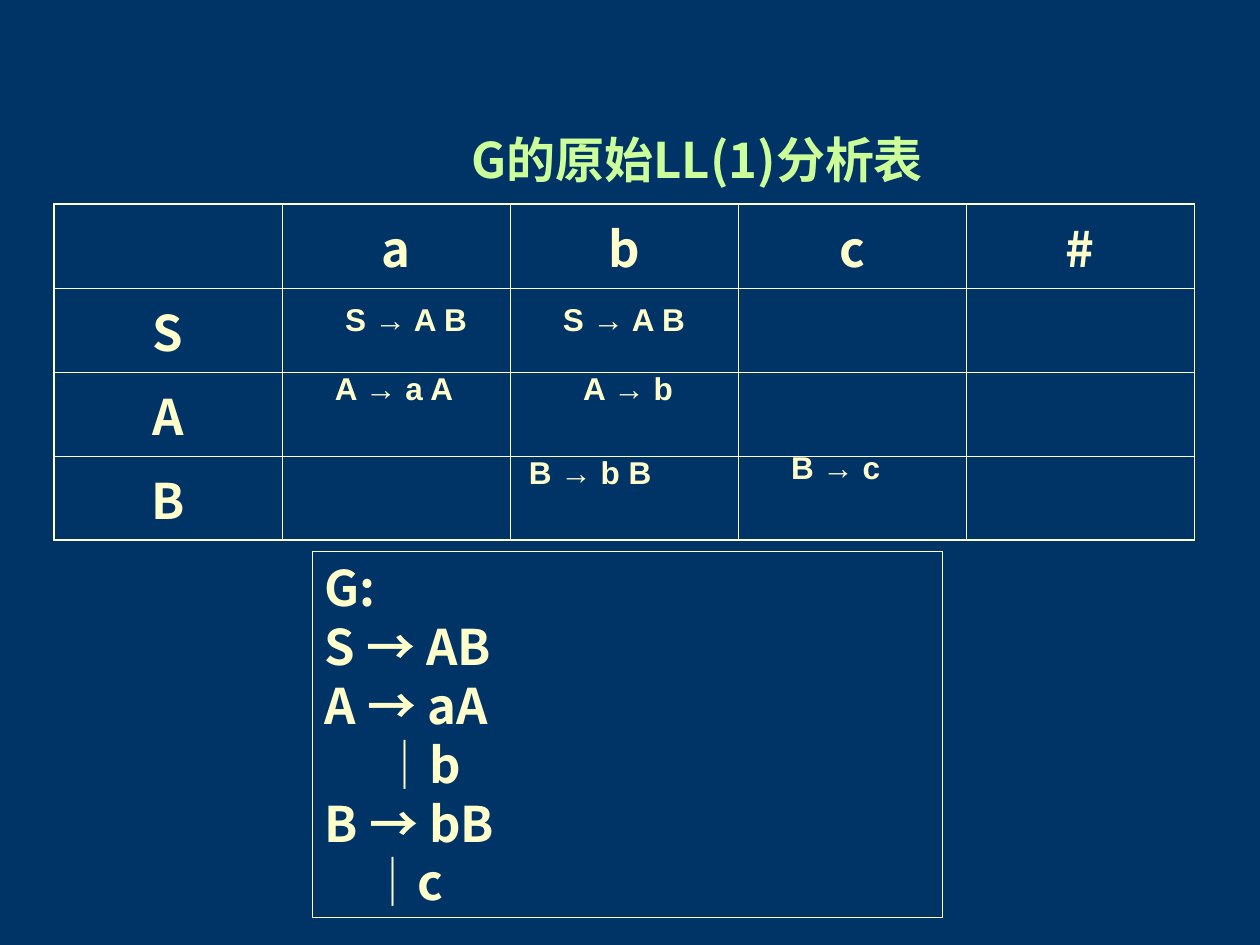
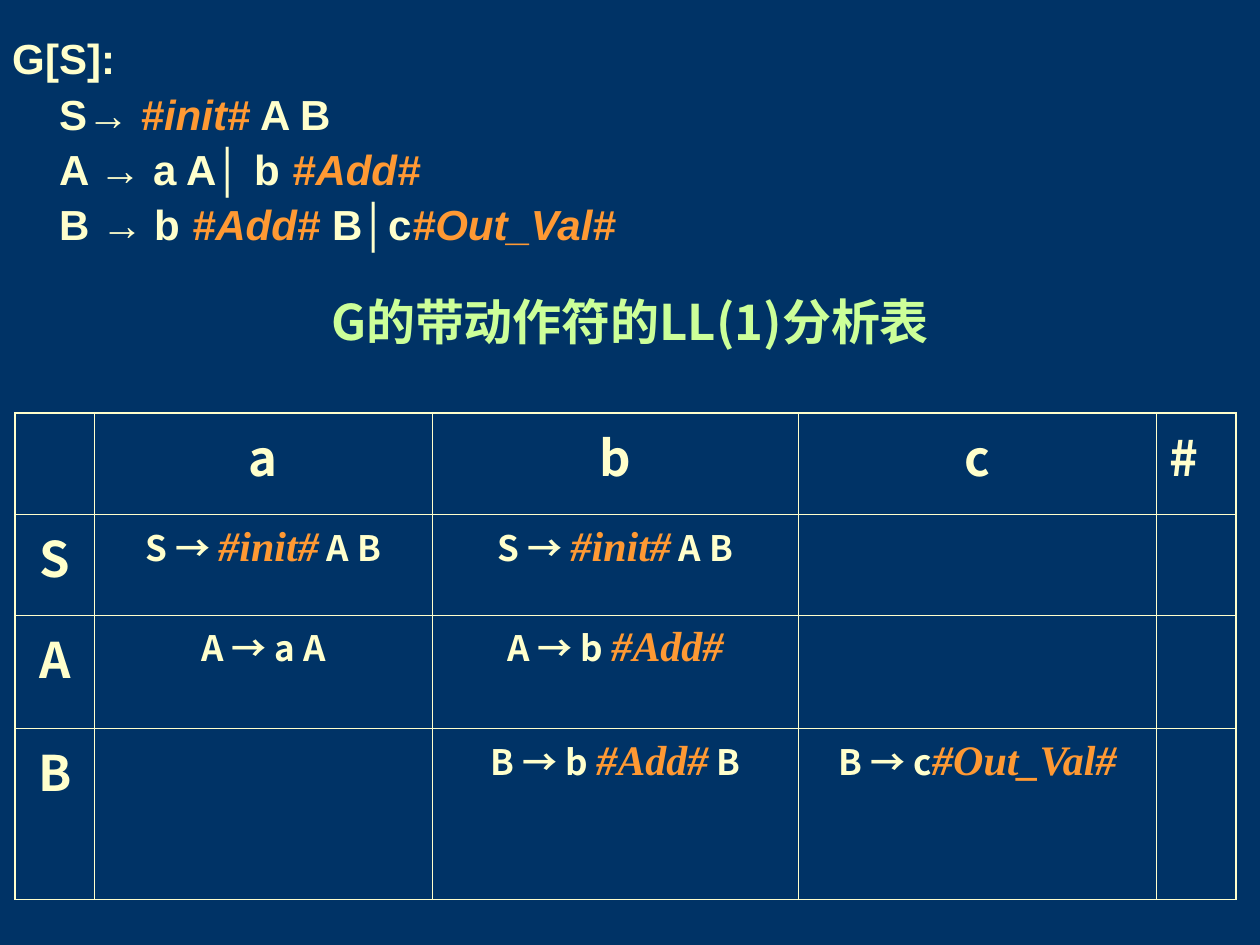
"""Build two slides with the LL(1) parsing tables of grammar G."""
from enum import Enum

from lxml.etree import SubElement
from pptx import Presentation
from pptx.dml.color import RGBColor as RGB
from pptx.enum.shapes import MSO_SHAPE as Shape
from pptx.enum.text import MSO_ANCHOR as Anchor, PP_ALIGN as Align
from pptx.oxml import parse_xml
from pptx.oxml.ns import nsdecls, qn
from pptx.util import Inches, Pt


class Theme(Enum):
    BACKGROUND = RGB.from_string("003366")
    TEXT = RGB.from_string("FFFFCC")
    TITLE = RGB.from_string("CCFF99")
    ACTION = RGB.from_string("FF9933")
    SANS = "Noto Sans CJK SC"
    ARIAL = "Arial"
    SERIF = "Times New Roman"
    HEADING_SIZE = 28
    GRAMMAR_SIZE = 24
    RULE_SIZE = 20
    ENTRY_SIZE = 18
    OUTER_LINE = 1.08
    INNER_LINE = 0.45


def write(frame, lines, size, font, color=Theme.TEXT, align=Align.LEFT,
          spacing=None, action_font=None):
    frame.word_wrap = True
    frame.text = "\n".join(lines)
    for paragraph, line in zip(frame.paragraphs, lines):
        paragraph.alignment = align
        paragraph.line_spacing = spacing
        parts = line.split("#") if line.count("#") > 1 else [line]
        paragraph.text = ""
        for index, part in enumerate(parts):
            if not part:
                continue
            is_action = index % 2 == 1
            run = paragraph.add_run()
            run.text = f"#{part}#" if is_action else part
            face = (action_font or font) if is_action else font
            run.font.name = face.value
            run.font.size = Pt(Theme.GRAMMAR_SIZE.value if is_action else size.value)
            run.font.bold = True
            run.font.italic = is_action
            run.font.color.rgb = (Theme.ACTION if is_action else color).value
            SubElement(run.font._element, qn("a:ea"), typeface=face.value)


def add_parsing_table(slide, left, top, widths, heights, rows):
    frame = slide.shapes.add_table(len(rows), len(widths), Inches(left), Inches(top),
                                   Inches(sum(widths)), Inches(sum(heights)))
    table = frame.table
    table.first_row = table.horz_banding = False
    for column, width in zip(table.columns, widths):
        column.width = Inches(width)
    for row, height in zip(table.rows, heights):
        row.height = Inches(height)
    last_row, last_column = len(rows) - 1, len(widths) - 1
    for r, row in enumerate(rows):
        for c, text in enumerate(row):
            cell = table.cell(r, c)
            cell.fill.background()
            is_heading = r == 0 or c == 0
            cell.margin_top = Inches(0.15 if is_heading else 0.12)
            if text:
                size = Theme.HEADING_SIZE if is_heading else Theme.RULE_SIZE
                narrow = text == "#" and widths[c] < 1
                write(cell.text_frame, [text], size, Theme.SANS,
                      align=Align.LEFT if narrow else Align.CENTER,
                      spacing=Pt(1.2 * size.value), action_font=Theme.SERIF)
            edges = {"L": c == 0, "R": c == last_column, "T": r == 0, "B": r == last_row}
            for position, (side, is_outer) in enumerate(edges.items()):
                weight = Theme.OUTER_LINE if is_outer else Theme.INNER_LINE
                cell._tc.get_or_add_tcPr().insert(position, parse_xml(
                    f'<a:ln{side} {nsdecls("a")} w="{Pt(weight.value)}"><a:solidFill>'
                    f'<a:srgbClr val="{Theme.TEXT.value}"/></a:solidFill></a:ln{side}>'))


prs = Presentation()
prs.slide_width, prs.slide_height = Inches(10), Inches(7.5)

titles = [
    ("G的原始LL(1)分析表", 1.5, 0.67, 8.07),
    ("G的带动作符的LL(1)分析表", 0.5, 1.96, 9),
]
slides = []
for text, left, top, width in titles:
    slide = prs.slides.add_slide(prs.slide_layouts[6])
    slide.background.fill.solid()
    slide.background.fill.fore_color.rgb = Theme.BACKGROUND.value
    title = slide.shapes.add_textbox(Inches(left), Inches(top), Inches(width), Inches(1.25))
    title.text_frame.vertical_anchor = Anchor.MIDDLE
    write(title.text_frame, [text], Theme.HEADING_SIZE, Theme.SANS, Theme.TITLE,
          Align.CENTER, spacing=0.85)
    slides.append(slide)
plain_slide, action_slide = slides

terminals = ["", "a", "b", "c", "#"]
add_parsing_table(plain_slide, 0.43, 1.62, [1.81] * 5, [0.66] * 4,
                  [terminals] + [[symbol, "", "", "", ""] for symbol in "SAB"])

entries = [
    ("S → A B", 2.64, 2.33),
    ("S → A B", 4.37, 2.33),
    ("A → a A", 2.56, 2.88),
    ("A → b", 4.53, 2.88),
    ("B → b B", 4.1, 3.55),
    ("B → c", 6.18, 3.51),
]
for text, left, top in entries:
    entry = plain_slide.shapes.add_textbox(Inches(left), Inches(top), Inches(1.5), Inches(0.4))
    write(entry.text_frame, [text], Theme.ENTRY_SIZE, Theme.ARIAL)

grammar = plain_slide.shapes.add_shape(Shape.RECTANGLE, Inches(2.48), Inches(4.38),
                                       Inches(5), Inches(2.9))
grammar.shadow.inherit = False
grammar.fill.background()
grammar.line.color.rgb = Theme.TEXT.value
grammar.line.width = Pt(0.75)
grammar.text_frame.vertical_anchor = Anchor.TOP
write(grammar.text_frame, ["G:", "S → AB", "A → aA", "│b", "B → bB", "│c"],
      Theme.HEADING_SIZE, Theme.SANS, spacing=Pt(1.2 * Theme.HEADING_SIZE.value))
for line, indent in ((3, 0.44), (5, 0.35)):
    properties = grammar.text_frame.paragraphs[line]._p.get_or_add_pPr()
    properties.set("marL", str(Inches(indent)))

add_parsing_table(action_slide, 0.12, 3.28, [0.63, 2.68, 2.91, 2.84, 0.63],
                  [0.8, 0.8, 0.9, 1.36], [
                      terminals,
                      ["S", "S → #init# A B", "S → #init# A B", "", ""],
                      ["A", "A → a A", "A → b #Add#", "", ""],
                      ["B", "", "B → b #Add# B", "B → c#Out_Val#", ""],
                  ])

productions = action_slide.shapes.add_textbox(0, Inches(0.21), Inches(7.01), Inches(1.82))
write(productions.text_frame,
      ["G[S]:", "S→ #init# A B", "A → a A│ b #Add#", "B → b #Add# B│c#Out_Val#"],
      Theme.GRAMMAR_SIZE, Theme.ARIAL, spacing=1.1)
heading, *rules = productions.text_frame.paragraphs
heading.line_spacing = 1.0
for rule in rules:
    rule._p.get_or_add_pPr().set("marL", str(Inches(0.37)))

prs.save("out.pptx")
